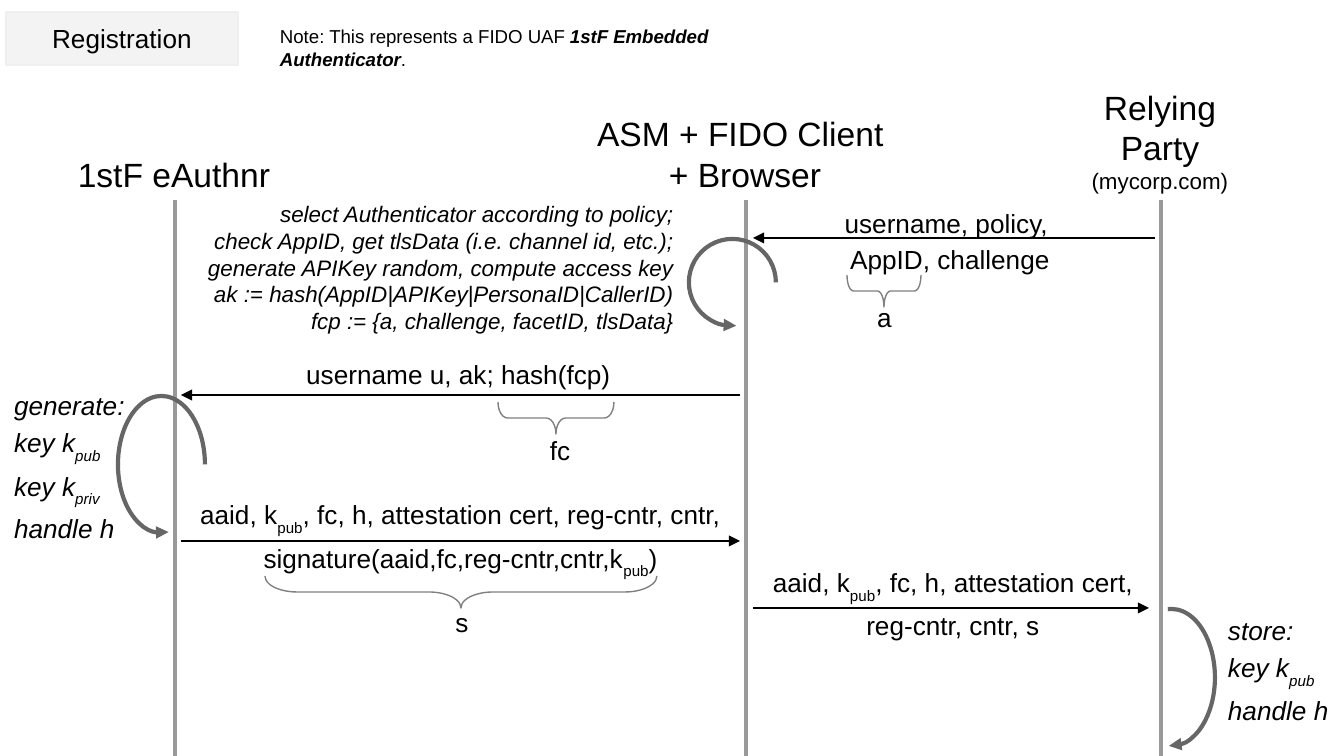
from lxml.etree import SubElement
from pptx import Presentation
from pptx.dml.color import RGBColor
from pptx.enum.shapes import MSO_CONNECTOR, MSO_SHAPE
from pptx.enum.text import MSO_ANCHOR, PP_ALIGN
from pptx.oxml.ns import qn
from pptx.util import Pt

PX = 914400 / 134.4
COLOURS = {
    "ink": "000000",
    "lifeline": "999999",
    "loop": "666666",
    "brace": "808080",
    "title fill": "F3F3F3",
    "title line": "EFEFEF",
}
LEFT, CENTER, RIGHT = PP_ALIGN.LEFT, PP_ALIGN.CENTER, PP_ALIGN.RIGHT
TOP, MIDDLE, BOTTOM = MSO_ANCHOR.TOP, MSO_ANCHOR.MIDDLE, MSO_ANCHOR.BOTTOM
COLOURS = {name: RGBColor.from_string(value) for name, value in COLOURS.items()}


def px(*lengths):
    return [round(length * PX) for length in lengths]


def write(box, text, size=14, align=CENTER, anchor=TOP, spacing=None,
          italic=False, marked=None):
    """Fill a box: \\n parts paragraphs, \\v breaks a line, _ encloses marked spans.

    Marked spans take the given font values, or become subscripts.
    """
    frame = box.text_frame
    inset = px(13)[0]
    values = {"word_wrap": True, "vertical_anchor": anchor,
              "margin_left": inset, "margin_right": inset,
              "margin_top": inset, "margin_bottom": inset}
    for name, value in values.items():
        setattr(frame, name, value)
    for index, line in enumerate(text.split("\n")):
        para = frame.add_paragraph() if index else frame.paragraphs[0]
        para.alignment = align
        para.line_spacing = spacing
        for order, piece in enumerate(line.split("_")):
            for row, words in enumerate(piece.split("\v")):
                if row:
                    para.add_line_break()
                if not words:
                    continue
                span = para.add_run()
                span.text = words
                look = {"name": "Arial", "size": Pt(size), "italic": italic}
                if order % 2:
                    look.update(marked or {})
                for name, value in look.items():
                    setattr(span.font, name, value)
                span.font.color.rgb = COLOURS["ink"]
                if order % 2 and not marked:
                    span.font._element.set("baseline", "-33000")


deck = Presentation()
deck.slide_width, deck.slide_height = px(1344, 756)
page = deck.slides.add_slide(deck.slide_layouts[6])

# Lifelines, then messages between them
lines = [(x, 756, x, 200, "lifeline", 2.25) for x in (175, 746, 1161)]
lines += [
    (1155, 238, 753, 238, "ink", 1.5),
    (740, 395, 181, 395, "ink", 1.5),
    (181, 541, 740, 541, "ink", 1.5),
    (753, 608, 1149, 608, "ink", 1.5),
]
for x1, y1, x2, y2, colour, width in lines:
    line = page.shapes.add_connector(MSO_CONNECTOR.STRAIGHT, *px(x1, y1, x2, y2))
    line.line.color.rgb = COLOURS[colour]
    line.line.width = Pt(width)
    if colour == "ink":
        SubElement(line.line._get_or_add_ln(), qn("a:tailEnd"), type="triangle")
    SubElement(line._element.spPr, qn("a:effectLst"))

# Loops of work done by one party: start and end angle, and the arrow's end
loops = [
    (689, 239, 87, 87, 85, 275, "headEnd"),
    (118, 396, 87, 137, 84, 271, "headEnd"),
    (1128, 609, 87, 137, 267, 92, "tailEnd"),
]
for left, top, width, height, start, end, arrow in loops:
    loop = page.shapes.add_shape(MSO_SHAPE.ARC, *px(left, top, width, height))
    loop.shadow.inherit = False
    loop.adjustments[0] = start * 0.6
    loop.adjustments[1] = (end if end <= 180 else end - 360) * 0.6
    loop.fill.background()
    loop.line.color.rgb = COLOURS["loop"]
    loop.line.width = Pt(2.25)
    SubElement(loop.line._get_or_add_ln(), qn("a:" + arrow), type="triangle")

# Braces below terms, turned about their centres: centre x, centre y, span, curve
DEPTH = 32
for x, y, span, curve in [(884, 291, 74, 0.2), (461, 592, 392, 1), (556, 418, 116, 0.3)]:
    brace = page.shapes.add_shape(
        MSO_SHAPE.LEFT_BRACE, *px(x - DEPTH / 2, y - span / 2, DEPTH, span))
    brace.shadow.inherit = False
    brace.rotation = 270
    brace.adjustments[0] = curve
    brace.fill.background()
    brace.line.color.rgb = COLOURS["brace"]
    brace.line.width = Pt(0)

title = page.shapes.add_shape(MSO_SHAPE.RECTANGLE, *px(6, 12, 232, 53))
title.shadow.inherit = False
title.fill.solid()
title.fill.fore_color.rgb = COLOURS["title fill"]
title.line.color.rgb = COLOURS["title line"]
title.line.width = Pt(0.75)
write(title, "Registration", anchor=MIDDLE)

party = {"size": 18, "anchor": BOTTOM}
message = {"spacing": 1.15}
action = {"spacing": 1.15, "align": LEFT, "italic": True}
texts = [
    (267, 12, 527, 67, "Note: This represents a FIDO UAF _1stF Embedded Authenticator_.",
     {"size": 10, "align": LEFT, "marked": {"bold": True, "italic": True}}),
    (15, 140, 318, 67, "1stF eAuthnr", party),
    (581, 70, 328, 137, "ASM + FIDO Client \v+ Browser", party),
    (1056, 70, 208, 137, "Relying Party\v_(mycorp.com)_",
     {**party, "marked": {"size": Pt(12)}}),
    (743, 190, 414, 48, "username, policy, \vAppID, challenge", message),
    (179, 345, 559, 48, "username u, ak; hash(fcp)", {}),
    (181, 480, 559, 90, "aaid, k_pub_, fc, h, attestation cert, reg-cntr, cntr,\n"
     "signature(aaid,fc,reg-cntr,cntr,k_pub_)", message),
    (746, 548, 414, 97, "aaid, k_pub_, fc, h, attestation cert, reg-cntr, cntr, s", message),
    (859, 288, 51, 48, "a", {}),
    (437, 421, 246, 48, "fc", {}),
    (368, 593, 188, 48, "s", {}),
    (1, 372, 148, 181, "generate:\vkey k_pub_\vkey k_priv_\vhandle h", action),
    (1215, 597, 129, 160, "store:\vkey k_pub_\vhandle h", action),
    (180, 187, 507, 149, "select Authenticator according to policy;\n"
     "check AppID, get tlsData (i.e. channel id, etc.);\n"
     "generate APIKey random, compute access key\v"
     "ak := hash(AppID|APIKey|PersonaID|CallerID)\n"
     "fcp := {a, challenge, facetID, tlsData}",
     {"size": 12, "align": RIGHT, "italic": True}),
]
for left, top, width, height, text, look in texts:
    box = page.shapes.add_textbox(*px(left, top, width, height))
    write(box, text, **look)

deck.save("out.pptx")
